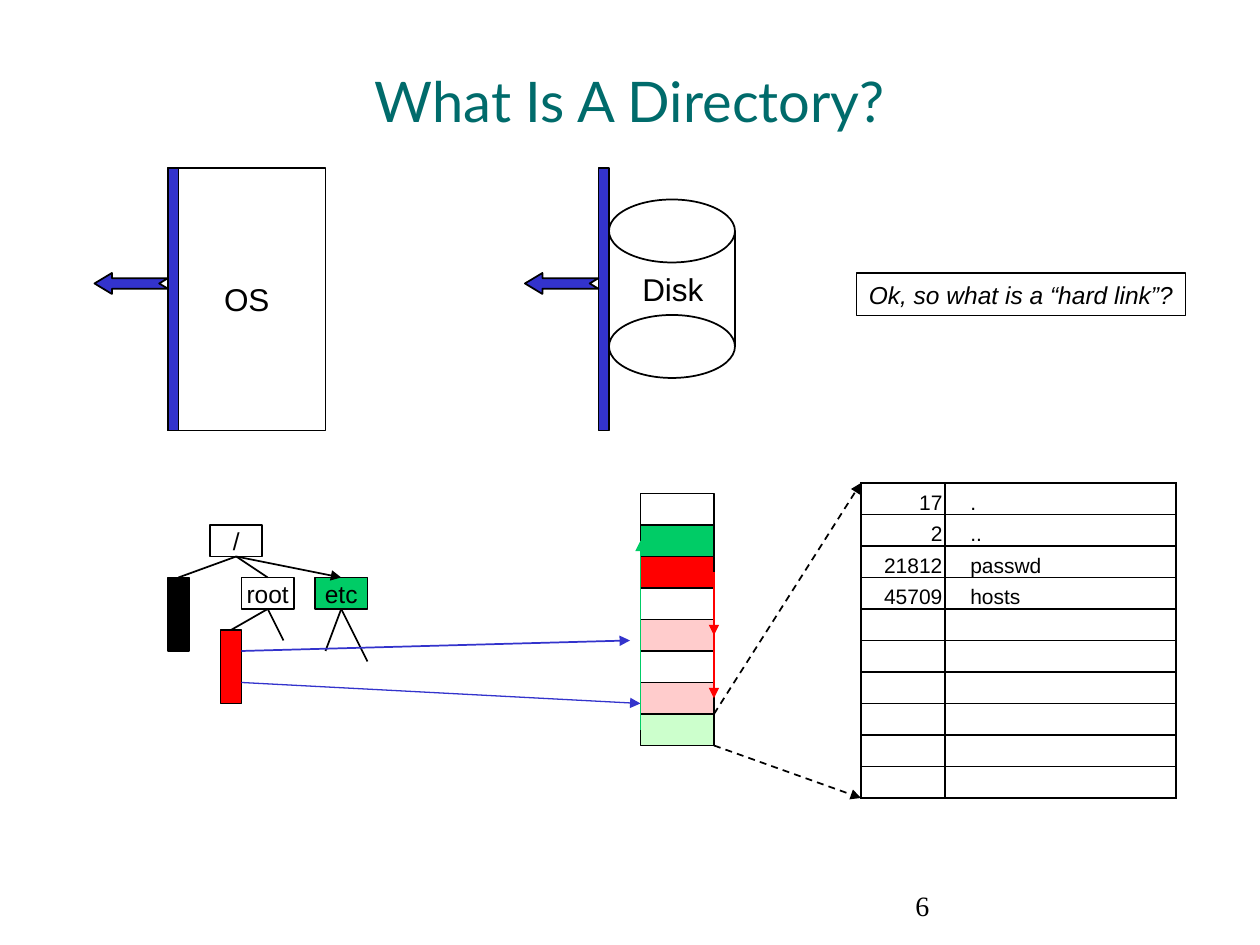
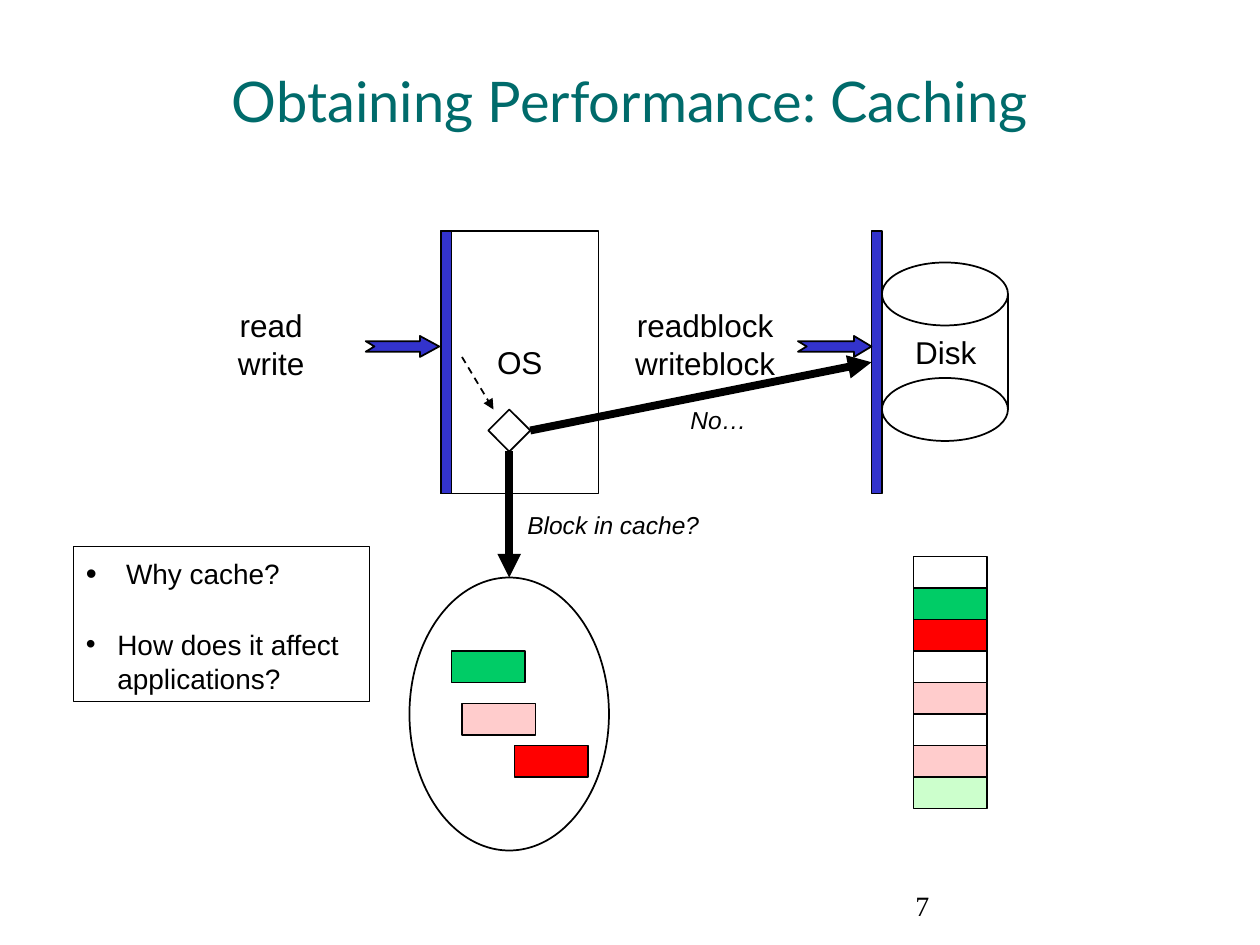
import pptx
import pptx.util
import pptx.dml.color
import pptx.enum.dml
import pptx.enum.shapes
import pptx.enum.text
import pptx.oxml
import pptx.oxml.ns
from lxml import etree

Pt = pptx.util.Pt
RGB = pptx.dml.color.RGBColor
SHAPE = pptx.enum.shapes.MSO_SHAPE
LINK = pptx.enum.shapes.MSO_CONNECTOR
ALIGN = pptx.enum.text.PP_ALIGN
ANCHOR = pptx.enum.text.MSO_ANCHOR
qn = pptx.oxml.ns.qn

TEAL = RGB(0x00, 0x6B, 0x6B)
BLACK = RGB(0x00, 0x00, 0x00)
BLUE = RGB(0x33, 0x33, 0xCC)
GREEN = RGB(0x00, 0xCC, 0x66)
RED = RGB(0xFF, 0x00, 0x00)
PINK = RGB(0xFF, 0xCC, 0xCC)
MINT = RGB(0xCC, 0xFF, 0xCC)

BLOCKS = [None, GREEN, RED, None, PINK, None, PINK, MINT]
BLOCK_W, BLOCK_H = 42, 18
BAND_W, TALL = 6, 150
FILES = [("17", "."), ("2", ".."), ("21812", "passwd"), ("45709", "hosts")]
ROWS = 10


def style(para, size, name="Arial", color=BLACK, italic=False, align=ALIGN.CENTER):
    """Set the font and alignment of a paragraph."""
    para.alignment = align
    font = para.font
    font.name, font.size, font.italic = name, Pt(size), italic
    font.color.rgb = color


def write(shape, text, size, wrap=False, anchor=ANCHOR.MIDDLE, **look):
    """Put one styled paragraph into a shape."""
    frame = shape.text_frame
    frame.word_wrap = wrap
    frame.vertical_anchor = anchor
    para = frame.paragraphs[0]
    para.text = text
    style(para, size, **look)


def label(shapes, mid, top, width, height, text, size, **look):
    """Add text centred on a given x."""
    area = shapes.add_textbox(Pt(mid - width / 2), Pt(top), Pt(width), Pt(height))
    area.text_frame.margin_left = area.text_frame.margin_right = 0
    write(area, text, size, anchor=ANCHOR.TOP, **look)


def paint(shape, fill, width=1):
    """Give a shape its fill and a black outline."""
    shape.shadow.inherit = False
    if fill is None:
        shape.fill.background()
    else:
        shape.fill.solid()
        shape.fill.fore_color.rgb = fill
    shape.line.color.rgb = BLACK
    shape.line.width = Pt(width)


def box(shapes, x, y, w, h, fill=None, kind=SHAPE.RECTANGLE, width=1):
    """Add an outlined preset shape."""
    shape = shapes.add_shape(kind, Pt(x), Pt(y), Pt(w), Pt(h))
    paint(shape, fill, width)
    return shape


def line(shapes, start, end, color=BLACK, width=1, head=False, dash=False, kind=LINK.STRAIGHT):
    """Add a connector between two points."""
    link = shapes.add_connector(kind, *(Pt(v) for v in (*start, *end)))
    link.line.color.rgb = color
    link.line.width = Pt(width)
    if dash:
        link.line.dash_style = pptx.enum.dml.MSO_LINE.DASH
    if head:
        etree.SubElement(link.get_or_add_ln(), qn("a:tailEnd"), type="triangle")
    etree.SubElement(link._element.spPr, qn("a:effectLst"))
    return link


def notch(shapes, x, y, way):
    """Add a notched arrow from its tail, way 1 to the right or -1 to the left."""
    outline = [(31.5, -3), (31.5, -6), (42, 0), (31.5, 6), (31.5, 3), (0, 3), (5.25, 0)]
    pen = shapes.build_freeform(x, y - 3, scale=Pt(1))
    pen.add_line_segments([(x + way * dx, y + dy) for dx, dy in outline], close=True)
    paint(pen.convert_to_shape(), BLUE)


def system(slide, x, y):
    """Draw the OS box with its interface band."""
    shapes = slide.shapes.add_group_shape().shapes
    write(box(shapes, x, y, 90, TALL), "OS", 18)
    box(shapes, x, y, BAND_W, TALL, BLUE)


def disk(slide, x, y):
    """Draw the disk and return its interface band."""
    shapes = slide.shapes.add_group_shape().shapes
    left, wide, lid = x + BAND_W, 72, 36
    tops = y + 18, y + 84
    for top in tops:
        box(shapes, left, top, wide, lid, kind=SHAPE.OVAL)
    for side in (left, left + wide):
        line(shapes, *((side, top + lid / 2) for top in tops))
    label(shapes, left + wide / 2 + 0.5, y + 55, 49, 29, "Disk", 18)
    return box(shapes, x, y, BAND_W, TALL, BLUE)


def stack(slide, x, y):
    """Draw the column of disk blocks."""
    for row, fill in enumerate(BLOCKS):
        box(slide.shapes, x, y + row * BLOCK_H, BLOCK_W, BLOCK_H, fill)


def node(shapes, x, y, text, fill=None):
    """Draw a named folder of the tree."""
    shape = box(shapes, x, y, 30, 18, fill)
    write(shape, text, 14)
    frame = shape.text_frame
    frame.margin_left = frame.margin_right = frame.margin_top = frame.margin_bottom = 0
    return shape


def tree(slide, x, y):
    """Draw the folder tree."""
    shapes = slide.shapes
    top = node(shapes, x + 24, y, "/")
    etc = node(shapes, x + 84, y + 30, "etc", GREEN)
    root = node(shapes, x + 42, y + 30, "root")
    black = box(shapes, x, y + 30, 12, 42, BLACK)
    red = box(shapes, x + 30, y + 60, 12, 42, RED)
    for parent, child in ((top, black), (top, root), (top, etc), (root, red)):
        link = line(shapes, (x, y), (x, y), head=child is etc)
        link.begin_connect(parent, 2)
        link.end_connect(child, 0)
    for parent, dx, dy in ((root, 66, 66), (etc, 90, 72), (etc, 114, 78)):
        link = line(shapes, (x, y), (x + dx, y + dy))
        link.begin_connect(parent, 2)


def chain(slide, x, y):
    """Link the blocks that belong together along the sides of the stack."""
    for side, first, last, color in ((1, 2, 4, RED), (1, 2, 6, RED), (0, 7, 1, GREEN)):
        ends = [(x + side * BLOCK_W, y + (row + 0.5) * BLOCK_H) for row in (first, last)]
        line(slide.shapes, *ends, color=color, head=True, kind=LINK.CURVE)


def cell_look(cell, text, align):
    """Fill one table cell and draw its borders."""
    props = cell._tc.get_or_add_tcPr()
    for tag in ("a:lnL", "a:lnR", "a:lnT", "a:lnB"):
        edge = etree.SubElement(props, qn(tag), w=str(Pt(1)))
        ink = etree.SubElement(edge, qn("a:solidFill"))
        etree.SubElement(ink, qn("a:srgbClr"), val=str(BLACK))
    cell.fill.background()
    cell.vertical_anchor = ANCHOR.BOTTOM
    cell.margin_top = cell.margin_bottom = 0
    cell.margin_left, cell.margin_right = Pt(14.5), Pt(1.5)
    if align == ALIGN.RIGHT:
        cell.margin_left = 0
    para = cell.text_frame.paragraphs[0]
    para.text = text
    style(para, 12, align=align)
    etree.SubElement(para._p, qn("a:endParaRPr"), sz="1200")


def listing(slide, x, y):
    """Draw the table of directory entries."""
    high = ROWS * BLOCK_H
    table = slide.shapes.add_table(ROWS, 2, Pt(x), Pt(y), Pt(180), Pt(high)).table
    table.first_row = table.horz_banding = False
    for col, wide in enumerate((48, 132)):
        table.columns[col].width = Pt(wide)
    for row in range(ROWS):
        table.rows[row].height = Pt(BLOCK_H)
        entry = FILES[row] if row < len(FILES) else ("", "")
        for col, align in enumerate((ALIGN.RIGHT, ALIGN.LEFT)):
            cell_look(table.cell(row, col), entry[col], align)


def note(slide, x, y):
    """Draw the boxed questions about caching."""
    shape = box(slide.shapes, x, y, 169, 88.5, width=0.75)
    frame = shape.text_frame
    frame.word_wrap = True
    frame.vertical_anchor = ANCHOR.TOP
    frame.margin_top = Pt(5.5)
    items = [("Why cache?", 23, 112), ("How does it affect applications?", 18, 100)]
    for num, (text, left, scale) in enumerate(items):
        para = frame.add_paragraph() if num else frame.paragraphs[0]
        para.text = text
        if num:
            para.space_before = Pt(21.5)
        props = para._p.get_or_add_pPr()
        props.set("marL", str(Pt(left)))
        props.set("indent", str(-Pt(left)))
        etree.SubElement(props, qn("a:buSzPct"), val=str(scale * 1000))
        etree.SubElement(props, qn("a:buFont"), typeface="Arial")
        etree.SubElement(props, qn("a:buChar"), char="•")
        style(para, 16, align=ALIGN.LEFT)


def cache(slide, x, y):
    """Draw the cache with its blocks and return its outline."""
    shape = box(slide.shapes, x, y, 114, 156, kind=SHAPE.OVAL)
    for dx, dy, fill in ((24, 42, GREEN), (60, 96, RED), (30, 72, PINK)):
        box(slide.shapes, x + dx, y + dy, BLOCK_W, BLOCK_H, fill)
    return shape


def start(deck, title, number):
    """Add a slide with its title and page number."""
    slide = deck.slides.add_slide(deck.slide_layouts[5])
    head = slide.shapes.title
    head.left, head.top, head.width, head.height = Pt(54), Pt(30), Pt(612), Pt(54)
    write(head, title, 32, wrap=True, name="Lato", color=TEAL)
    page = slide.shapes.add_textbox(Pt(516), Pt(504), Pt(150), Pt(36))
    write(page, number, 16, wrap=True, anchor=ANCHOR.TOP, name="Times New Roman", align=ALIGN.LEFT)
    return slide


def folder(deck):
    """Build the slide on directories."""
    slide = start(deck, "What Is A Directory?", "6")
    shapes = slide.shapes
    system(slide, 96, 96)
    disk(slide, 342, 96)
    for tail in (96, 342):
        notch(shapes, tail, 162, -1)
    tree(slide, 96, 300)
    stack(slide, 366, 282)
    line(shapes, (138, 372), (360, 366), BLUE, head=True)
    line(shapes, (138, 390), (366, 402), BLUE, 0.75, head=True)
    chain(slide, 366, 282)
    listing(slide, 492, 276)
    for low, end in ((408, 276), (426, 456)):
        line(shapes, (408, low), (492, end), head=True, dash=True)
    ask = box(shapes, 489.5, 156, 188, 24.5, width=0.75)
    write(ask, "Ok, so what is a “hard link”?", 14, italic=True)


def caching(deck):
    """Build the slide on caching."""
    slide = start(deck, "Obtaining Performance: Caching", "7")
    shapes = slide.shapes
    system(slide, 252, 132)
    band = disk(slide, 498, 132)
    for tail, mid, width, text in (
        (456, 403, 94, "readblock\vwriteblock"),
        (209, 155, 53, "read\vwrite"),
    ):
        notch(shapes, tail, 198, 1)
        label(shapes, mid, 171.5, width, 50, text, 18)
    pool = cache(slide, 234, 330)
    stack(slide, 522, 318)
    test = box(shapes, 279, 234, 24, 24, kind=SHAPE.FLOWCHART_DECISION)
    for site, goal, end in ((2, pool, 0), (3, band, 1)):
        link = line(shapes, (291, 246), (291, 330), width=4.5, head=True)
        link.begin_connect(test, site)
        link.end_connect(goal, end)
    line(shapes, (264, 204), (282, 234), head=True, dash=True)
    label(shapes, 350.5, 288, 112, 24, "Block in cache?", 14, italic=True)
    label(shapes, 410.5, 228, 46, 24, "No…", 14, italic=True)
    note(slide, 42, 312.5)


def main():
    """Build and save the deck."""
    deck = pptx.Presentation()
    deck.slide_width, deck.slide_height = Pt(720), Pt(540)
    folder(deck)
    caching(deck)
    deck.save("out.pptx")


if __name__ == "__main__":
    main()
